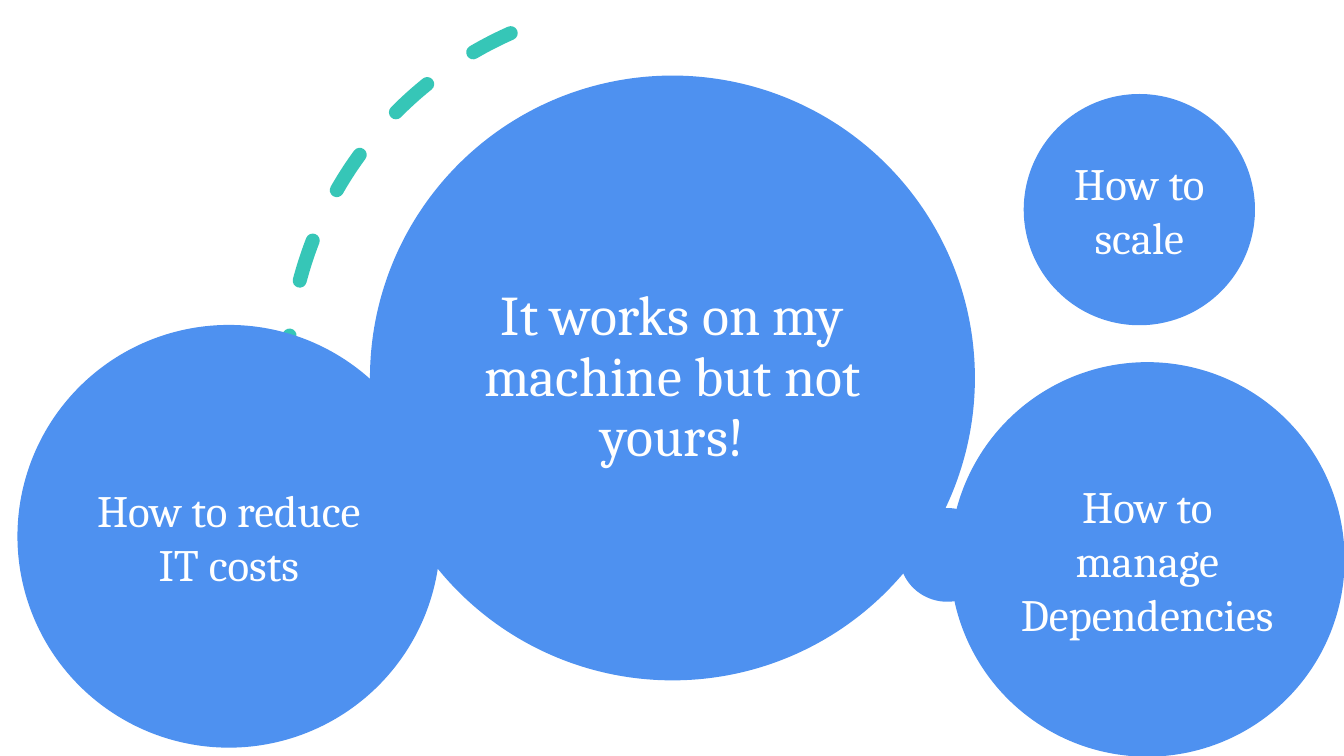
import pptx
import pptx.util
import pptx.dml.color
import pptx.enum.dml
import pptx.enum.shapes
import pptx.enum.text
import pptx.oxml
import pptx.oxml.ns
import lxml.etree

BLUE = pptx.dml.color.RGBColor(0x4E, 0x91, 0xF0)
TEAL = pptx.dml.color.RGBColor(0x2C, 0xC3, 0xB4)
WHITE = pptx.dml.color.RGBColor(0xFF, 0xFF, 0xFF)
SLIDE_WIDTH = pptx.util.Inches(13.33)
SLIDE_HEIGHT = pptx.util.Inches(7.5)
FONT = "Cambria"

# Left is a percentage of the slide width; top and sizes are percentages of its height.
CIRCLES = [
    ("How to reduce IT costs", 1.35, 43.07, 55.73),
    ("How to manage Dependencies", 70.74, 48, 52),
    ("It works on my machine but not yours!", 27.53, 10, 80),
    ("How to scale", 76.22, 12.53, 30.4),
]
MAIN_DIAMETER = 80


def add_round_shape(page, kind, left, top, width, height):
    shape = page.shapes.add_shape(
        kind,
        int(SLIDE_WIDTH * left / 100),
        int(SLIDE_HEIGHT * top / 100),
        int(SLIDE_HEIGHT * width / 100),
        int(SLIDE_HEIGHT * height / 100),
    )
    shape.shadow.inherit = False
    return shape


def add_disc(page, left, top, width, height):
    disc = add_round_shape(page, pptx.enum.shapes.MSO_SHAPE.OVAL, left, top, width, height)
    disc.fill.solid()
    disc.fill.fore_color.rgb = BLUE
    disc.line.fill.background()
    return disc


def add_question(page, text, left, top, diameter):
    disc = add_disc(page, left, top, diameter, diameter)
    is_main = diameter == MAIN_DIAMETER
    frame = disc.text_frame
    frame.word_wrap = True
    frame.vertical_anchor = pptx.enum.text.MSO_ANCHOR.MIDDLE
    frame.margin_left = frame.margin_right = pptx.util.Inches(0.1)
    frame.margin_top = frame.margin_bottom = pptx.util.Inches(0.1 if is_main else 0.05)
    para = frame.paragraphs[0]
    para.text = text
    para.alignment = pptx.enum.text.PP_ALIGN.CENTER
    para.font.name = FONT
    para.font.size = pptx.util.Pt(40 if is_main else 32)
    para.font.color.rgb = WHITE
    if is_main:
        para.line_spacing = 0.9
    else:
        disc.line.color.rgb = BLUE
        disc.line.width = pptx.util.Pt(1)


def add_dashed_arc(page, left, top, diameter):
    arc = add_round_shape(
        page, pptx.enum.shapes.MSO_SHAPE.ARC, left, top, diameter, diameter
    )
    arc.adjustments[0] = 162
    arc.adjustments[1] = 204.016
    arc.rotation = 336.1
    arc.fill.background()
    arc.line.color.rgb = TEAL
    arc.line.width = pptx.util.Pt(10)
    arc.line.dash_style = pptx.enum.dml.MSO_LINE.DASH
    qn = pptx.oxml.ns.qn
    properties = arc.element.spPr
    properties.find(qn("a:xfrm")).set("flipH", "1")
    outline = properties.find(qn("a:ln"))
    outline.set("cap", "rnd")
    color = outline.find(qn("a:solidFill")).find(qn("a:srgbClr"))
    lxml.etree.SubElement(color, qn("a:alpha")).set("val", "95000")


def main():
    deck = pptx.Presentation()
    deck.slide_width = SLIDE_WIDTH
    deck.slide_height = SLIDE_HEIGHT
    page = deck.slides.add_slide(deck.slide_layouts[6])
    add_dashed_arc(page, 21.38, 0.13, 99.33)
    add_disc(page, 66.92, 67.2, 12.67, 12.4)
    for circle in CIRCLES:
        add_question(page, *circle)
    deck.save("out.pptx")


if __name__ == "__main__":
    main()
